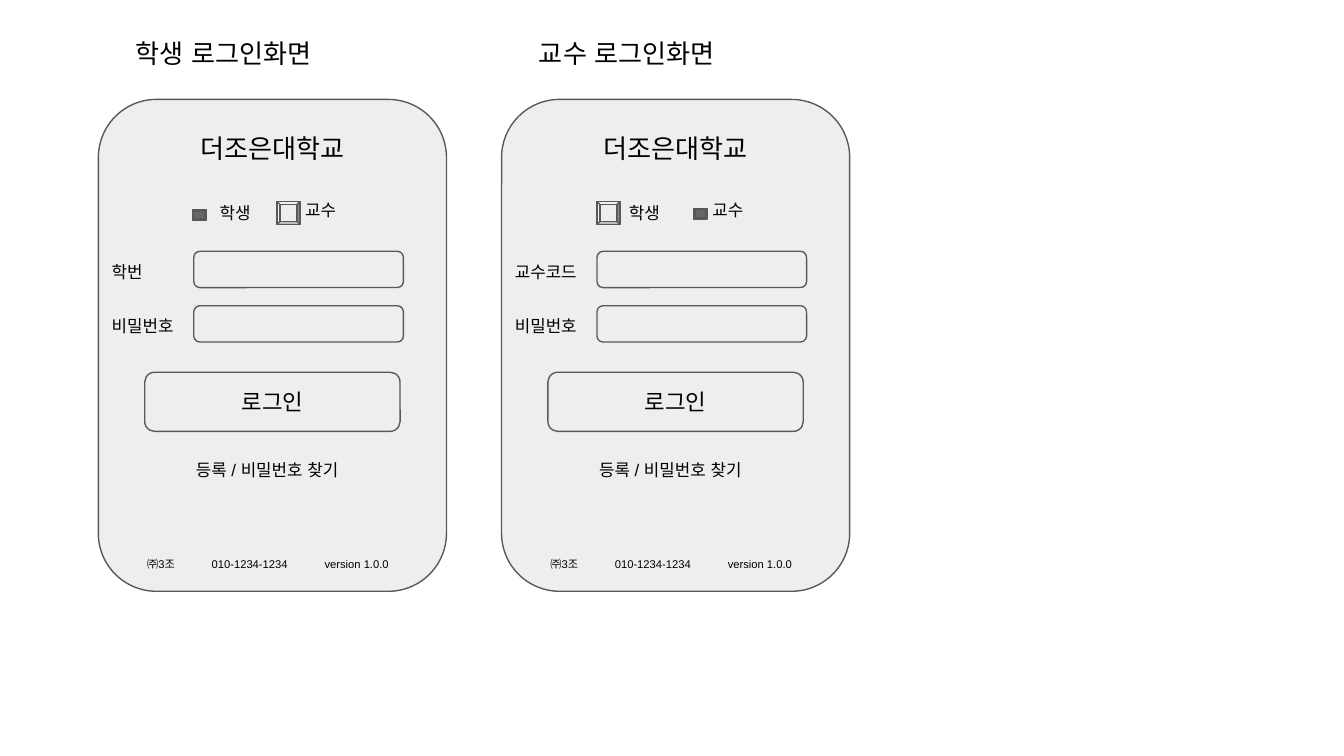
import pptx
import pptx.util
import pptx.dml.color
import pptx.enum.lang
import pptx.enum.shapes
import pptx.enum.text
import pptx.oxml.ns

RGBColor = pptx.dml.color.RGBColor
PANEL = RGBColor(0xEE, 0xEE, 0xEE)
OUTLINE = RGBColor(0x59, 0x59, 0x59)
SELECTED = RGBColor(0x66, 0x66, 0x66)
BLACK = RGBColor(0, 0, 0)

ROUNDED = pptx.enum.shapes.MSO_SHAPE.ROUNDED_RECTANGLE
BEVEL = pptx.enum.shapes.MSO_SHAPE.BEVEL
LEFT = pptx.enum.text.PP_ALIGN.LEFT
CENTER = pptx.enum.text.PP_ALIGN.CENTER

SLIDE_WIDTH = pptx.util.Inches(10)
SLIDE_HEIGHT = SLIDE_WIDTH * 9 // 16
COLUMN = SLIDE_WIDTH / 100
ROW = SLIDE_HEIGHT / 56.25
SCREEN_PITCH = 30


def place(box, column, row, columns, rows):
    return (round((box[0] + column) * COLUMN), round((box[1] + row) * ROW),
            round(columns * COLUMN), round(rows * ROW))


def write(shape, text, size, align, tabs=()):
    frame = shape.text_frame
    frame.word_wrap = True
    frame.margin_left = frame.margin_right = pptx.util.Inches(0.1)
    frame.margin_top = frame.margin_bottom = pptx.util.Inches(0.1)
    paragraph = frame.paragraphs[0]
    paragraph.text = text
    paragraph.alignment = align
    if tabs:
        properties = paragraph._p.get_or_add_pPr()
        tab_list = properties.makeelement(pptx.oxml.ns.qn("a:tabLst"), {})
        properties.append(tab_list)
        for stop in tabs:
            tab = tab_list.makeelement(pptx.oxml.ns.qn("a:tab"), {
                "pos": str(round(stop * COLUMN)), "algn": "l"})
            tab_list.append(tab)
    paragraph.font.name = "Arial"
    paragraph.font.size = pptx.util.Pt(size)
    paragraph.font.color.rgb = BLACK
    paragraph.font.language_id = pptx.enum.lang.MSO_LANGUAGE_ID.KOREAN


def add_text(shapes, area, text, size, align=LEFT, tabs=()):
    shape = shapes.add_textbox(*area)
    write(shape, text, size, align, tabs)
    shape.text_frame.auto_size = pptx.enum.text.MSO_AUTO_SIZE.SHAPE_TO_FIT_TEXT


def add_box(shapes, kind, area, fill=PANEL):
    shape = shapes.add_shape(kind, *area)
    shape.shadow.inherit = False
    shape.fill.solid()
    shape.fill.fore_color.rgb = fill
    shape.line.color.rgb = OUTLINE
    shape.line.width = pptx.util.Pt(0.75)
    return shape


def add_role_choice(slide, box, student_column, professor_column, selected, unselected):
    shapes = slide.shapes.add_group_shape().shapes
    add_text(shapes, place(box, student_column, 0.2, 5.4, 3.5), "학생", 9)
    add_box(shapes, BEVEL, place(box, *selected, 1, 0.8), SELECTED)
    add_text(shapes, place(box, professor_column, 0, 9.4, 3.5), "교수", 9)
    add_box(shapes, BEVEL, place(box, unselected, 0.9, 1.7, 1.7))


def add_form(slide, box, labels):
    for index, label in enumerate(labels):
        row = index * 4.05
        add_box(slide.shapes, ROUNDED, place(box, 7.1, row, 15.6, 2.7))
        add_text(slide.shapes, place(box, 0, row, 7.1, 3.5), label, 9)
    button = add_box(slide.shapes, ROUNDED, place(box, 3.45, 9, 19, 4.4))
    write(button, "로그인", 12, CENTER)
    button.text_frame.vertical_anchor = pptx.enum.text.MSO_ANCHOR.MIDDLE


def add_login_screen(slide, box, heading, account_label, role_choice):
    left, top = box
    shapes = slide.shapes
    add_box(shapes, ROUNDED, place(box, 0, 5.6, 25.9, 36.6))
    add_text(shapes, place(box, 1.8, 0, 24.1, 4.4), heading, 14)
    add_text(shapes, place(box, 1.8, 7.05, 22.3, 4.4), "더조은대학교", 14, CENTER)
    add_role_choice(slide, (left, top + 12.3), *role_choice)
    add_form(slide, (left, top + 16.9), (account_label, "비밀번호"))
    add_text(shapes, place(box, 1.8, 31.65, 21.5, 3.5), "등록 / 비밀번호 찾기", 9, CENTER)
    add_text(shapes, place(box, 2.65, 39.15, 26, 3),
             "㈜3조\t010-1234-1234\tversion 1.0.0", 6, tabs=(4.8, 13.2))


def main():
    presentation = pptx.Presentation()
    presentation.slide_width = SLIDE_WIDTH
    presentation.slide_height = SLIDE_HEIGHT
    slide = presentation.slides.add_slide(presentation.slide_layouts[6])
    screens = (
        ("학생 로그인화면", "학번", (8.05, 14.4, (7, 1.5), 13.3)),
        ("교수 로그인화면", "교수코드", (8.5, 14.7, (14.3, 1.4), 7.1)),
    )
    for index, screen in enumerate(screens):
        add_login_screen(slide, (7.32 + index * SCREEN_PITCH, 1.8), *screen)
    presentation.save("out.pptx")


if __name__ == "__main__":
    main()
